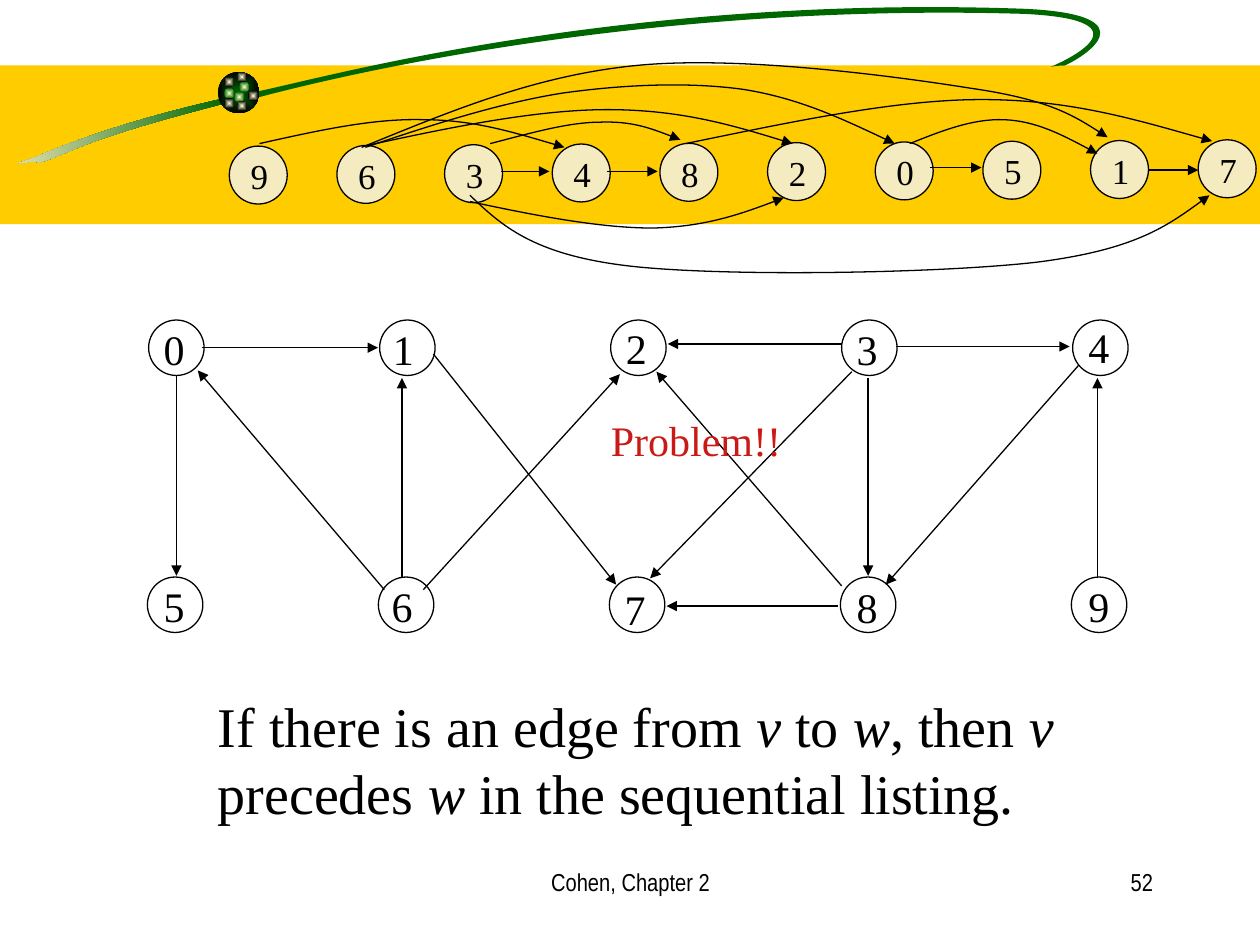
import math
from dataclasses import dataclass

from lxml import etree
from pptx import Presentation
from pptx import util as u
from pptx.dml.color import RGBColor as Rgb
from pptx.enum import shapes, text
from pptx.oxml.ns import qn


@dataclass(frozen=True)
class Theme:
    ink: Rgb = Rgb.from_string("000000")
    white: Rgb = Rgb.from_string("FFFFFF")
    band: Rgb = Rgb.from_string("FFCC00")
    green: Rgb = Rgb.from_string("006600")
    cream: Rgb = Rgb.from_string("F5EBC1")
    glow: Rgb = Rgb.from_string("FFFFCC")
    red: Rgb = Rgb.from_string("CA1A16")
    serif: str = "Times New Roman"
    sans: str = "Arial Narrow"
    body: int = 32
    label: int = 24
    small: int = 20
    foot: int = 14
    rule: float = 0.75


look = Theme()
deck = Presentation()
deck.slide_width, deck.slide_height = u.Inches(10), u.Inches(7.5)
slide = deck.slides.add_slide(deck.slide_layouts[6])
canvas = slide.shapes


def bend(area, knots, close=False, spin=0):
    x, y, w, h = area
    pen = canvas.build_freeform(u.Inches(x), u.Inches(y))
    pen.add_line_segments([(u.Inches(x + w), u.Inches(y + h))], close=close)
    form = pen.convert_to_shape()
    form.rotation = spin
    form.shadow.inherit = False
    track = form._element.spPr.find(".//" + qn("a:path"))
    for part in list(track):
        track.remove(part)
    pivot = complex(x + w / 2, y + h / 2)
    angle = math.radians(-spin)
    turn = complex(math.cos(angle), math.sin(angle))
    for i, knot in enumerate(knots):
        if i == 0:
            step = etree.SubElement(track, qn("a:moveTo"))
        elif i % 3 == 1:
            step = etree.SubElement(track, qn("a:cubicBezTo"))
        spot = pivot + (complex(*knot) - pivot) * turn - complex(x, y)
        etree.SubElement(step, qn("a:pt"), x=str(u.Inches(spot.real)), y=str(u.Inches(spot.imag)))
    if close:
        etree.SubElement(track, qn("a:close"))
    return form


def write(area, size, runs, color=look.ink, font=look.serif, align=text.PP_ALIGN.LEFT):
    frame = canvas.add_textbox(*map(u.Inches, area)).text_frame
    frame.word_wrap = True
    para = frame.paragraphs[0]
    para.alignment = align
    for i, words in enumerate(runs):
        run = para.add_run()
        run.text = words
        run.font.size = u.Pt(size)
        run.font.name = font
        run.font.color.rgb = color
        run.font.italic = i % 2 == 1


band = canvas.add_shape(shapes.MSO_SHAPE.RECTANGLE, 0, u.Inches(0.52), u.Inches(10), u.Inches(1.26))
band.shadow.inherit = False
band.fill.solid()
band.fill.fore_color.rgb = look.band
band.line.fill.background()

tail = bend((-0.03, 0.91, 1.84, 0.3),
            [(1.78, 0.78), (0.91, 0.98), (0.49, 1.16), (0.25, 1.26), (0.01, 1.34),
             (0.26, 1.26), (0.31, 1.29), (0.57, 1.22), (0.57, 1.13), (1.79, 0.82),
             (1.79, 0.82), (1.78, 0.78), (1.78, 0.78)], True, 351.5)
tail.fill.gradient()
tail.fill.gradient_angle = 180
for stop, color in zip(tail.fill.gradient_stops, (look.green, look.cream)):
    stop.color.rgb = color
tail.line.fill.background()

swoosh = bend((2.01, -0.15, 7.16, 1.09),
              [(2.02, 0.73), (2.46, 0.65), (4.86, -0.05), (8.14, 0.07), (9.17, 0.12),
               (8.57, 0.47), (8.45, 0.52), (8.45, 0.52), (8.38, 0.52), (8.34, 0.53),
               (8.44, 0.49), (9.16, 0.16), (8.13, 0.11), (5.48, 0.03), (3.2, 0.47),
               (2.06, 0.77), (2.06, 0.77), (2.02, 0.73), (2.02, 0.73)], True, 351.5)
swoosh.fill.solid()
swoosh.fill.fore_color.rgb = look.green
swoosh.line.fill.background()

beads = [(1.73, 0.57, 0.33, look.green, look.ink)]
for x, y, edge in [
    (1.9, 0.65, look.green), (1.78, 0.61, look.ink), (1.78, 0.7, look.green),
    (1.86, 0.73, look.green), (1.97, 0.72, look.ink), (1.88, 0.8, look.ink),
    (1.78, 0.78, look.ink), (1.88, 0.57, look.ink),
]:
    beads.append((x, y, 0.08, look.glow, edge))
for x, y, size, core, edge in beads:
    bead = canvas.add_shape(shapes.MSO_SHAPE.OVAL, *map(u.Inches, (x, y, size, size)))
    bead.shadow.inherit = False
    bead.line.fill.background()
    bead.fill.gradient()
    for stop, color in zip(bead.fill.gradient_stops, (core, edge)):
        stop.color.rgb = color
    grad = bead._element.spPr.find(qn("a:gradFill"))
    grad.remove(grad.find(qn("a:lin")))
    focus = etree.SubElement(grad, qn("a:path"), path="rect")
    etree.SubElement(focus, qn("a:fillToRect"), l="50000", t="50000", r="50000", b="50000")

veil = canvas.add_shape(shapes.MSO_SHAPE.RECTANGLE, *map(u.Inches, (0.74, 2.06, 1.22, 5.44)))
veil.shadow.inherit = False
veil.line.fill.background()
veil.fill.solid()
veil.fill.fore_color.rgb = look.white
etree.SubElement(veil._element.spPr.find(".//" + qn("a:srgbClr")), qn("a:alpha"), val="50000")

nodes = [(x + i * 11 / 6, y, 0.44, None) for x, y in ((1.18, 2.54), (1.17, 4.58)) for i in range(5)]
row = [(1.82 + i * 7.69 / 9, 1.16 - i * 0.05 / 9) for i in range(10)]
nodes += [(x, y, 0.46, look.cream) for x, y in row]
for x, y, size, color in nodes:
    node = canvas.add_shape(shapes.MSO_SHAPE.OVAL, *map(u.Inches, (x, y, size, size)))
    node.shadow.inherit = False
    node.line.color.rgb = look.ink
    node.line.width = u.Pt(look.rule)
    if color is None:
        node.fill.background()
    else:
        node.fill.solid()
        node.fill.fore_color.rgb = color

edges = [
    (1.4, 2.98, 1.4, 4.57), (1.6, 2.76, 3, 2.76), (3.19, 4.59, 3.19, 3),
    (3.05, 4.68, 1.57, 2.94), (3.36, 4.68, 4.92, 2.97), (3.44, 2.81, 4.89, 4.64),
    (6.68, 2.73, 5.3, 2.73), (6.65, 4.81, 5.29, 4.81), (6.76, 2.95, 5.16, 4.59),
    (6.68, 4.65, 5.21, 2.95), (7.11, 2.75, 8.49, 2.75), (8.56, 2.9, 7.03, 4.64),
    (8.71, 4.59, 8.71, 3), (6.89, 3, 6.89, 4.57),
    (3.98, 1.36, 4.36, 1.36), (4.82, 1.36, 5.22, 1.36),
    (7.38, 1.33, 7.79, 1.33), (9.11, 1.35, 9.51, 1.35),
]
arcs = [
    ((2.06, 0.94, 2.41, 0.23), [(2.06, 1.14), (2.51, 1.04), (2.95, 0.94), (3.35, 0.95),
                                (3.75, 0.95), (4.11, 1.06), (4.48, 1.17)]),
    ((2.89, 0.87, 3.4, 0.29), [(2.89, 1.16), (3.57, 1.01), (4.26, 0.87), (4.82, 0.87),
                               (5.39, 0.87), (5.84, 1), (6.29, 1.14)]),
    ((2.9, 0.65, 4.19, 0.53), [(2.9, 1.17), (3.43, 0.99), (3.96, 0.82), (4.46, 0.74), (4.96, 0.67),
                               (5.47, 0.65), (5.9, 0.71), (6.34, 0.78), (6.72, 0.96), (7.1, 1.14)]),
    ((2.87, 0.44, 5.92, 0.73), [(2.87, 1.17), (3.56, 0.89), (4.24, 0.6), (5.05, 0.52), (5.85, 0.44),
                                (7.07, 0.6), (7.7, 0.7), (8.32, 0.79), (8.56, 0.94), (8.79, 1.09)]),
    ((3.89, 0.96, 1.51, 0.18), [(3.89, 1.14), (4.2, 1.06), (4.51, 0.97), (4.76, 0.97),
                                (5.01, 0.96), (5.2, 1.03), (5.4, 1.11)]),
    ((3.73, 1.57, 2.49, 0.24), [(3.73, 1.6), (4.24, 1.71), (4.76, 1.81), (5.18, 1.81),
                                (5.59, 1.8), (5.91, 1.69), (6.22, 1.57)]),
    ((3.73, 1.55, 5.87, 0.64), [(3.73, 1.55), (3.98, 1.79), (4.23, 2.02), (4.98, 2.11), (5.74, 2.2),
                                (7.47, 2.17), (8.24, 2.08), (9.01, 1.98), (9.3, 1.77), (9.6, 1.55)]),
    ((5.44, 0.79, 4.18, 0.35), [(5.44, 1.14), (6.27, 0.97), (7.1, 0.79), (7.79, 0.79),
                                (8.49, 0.79), (9.05, 0.96), (9.62, 1.12)]),
    ((7.22, 0.94, 1.49, 0.28), [(7.22, 1.14), (7.47, 1.04), (7.72, 0.94), (7.97, 0.95),
                                (8.22, 0.96), (8.47, 1.09), (8.71, 1.22)]),
]
arrows = [canvas.add_connector(shapes.MSO_CONNECTOR.STRAIGHT, *map(u.Inches, edge)) for edge in edges]
for edge in arrows:
    etree.SubElement(edge._element.spPr, qn("a:effectLst"))
for area, knots in arcs:
    arc = bend(area, knots)
    arc.fill.background()
    arrows.append(arc)
for arrow in arrows:
    arrow.line.color.rgb = look.ink
    arrow.line.width = u.Pt(look.rule)
    etree.SubElement(arrow._element.spPr.find(qn("a:ln")), qn("a:tailEnd"), type="triangle")

spots = [(1.2, 2.52), (3.02, 2.52), (4.87, 2.51), (6.7, 2.52), (8.54, 2.5),
         (1.2, 4.56), (3.01, 4.56), (4.86, 4.58), (6.7, 4.57), (8.54, 4.56)]
for digit, (x, y) in enumerate(spots):
    write((x, y, 0.43, 0.5), look.label, [str(digit)])
write((1.63, 5.44, 7.22, 1.17), look.body,
      ["If there is an edge from ", "v", " to ", "w", ", then ", "v", " precedes ", "w",
       " in the sequential listing."])
write((4.75, 3.24, 1.56, 0.5), look.label, ["Problem!!"], look.red)
for digit, (x, y) in zip("9634820517", row):
    write((x + 0.07, y + 0.02, 0.39, 0.44), look.small, [digit])
write((3.42, 6.83, 3.17, 0.5), look.foot, ["Cohen, Chapter 2"],
      font=look.sans, align=text.PP_ALIGN.CENTER)
write((7.17, 6.83, 2.08, 0.5), look.foot, ["52"], font=look.sans, align=text.PP_ALIGN.RIGHT)

deck.save("out.pptx")
